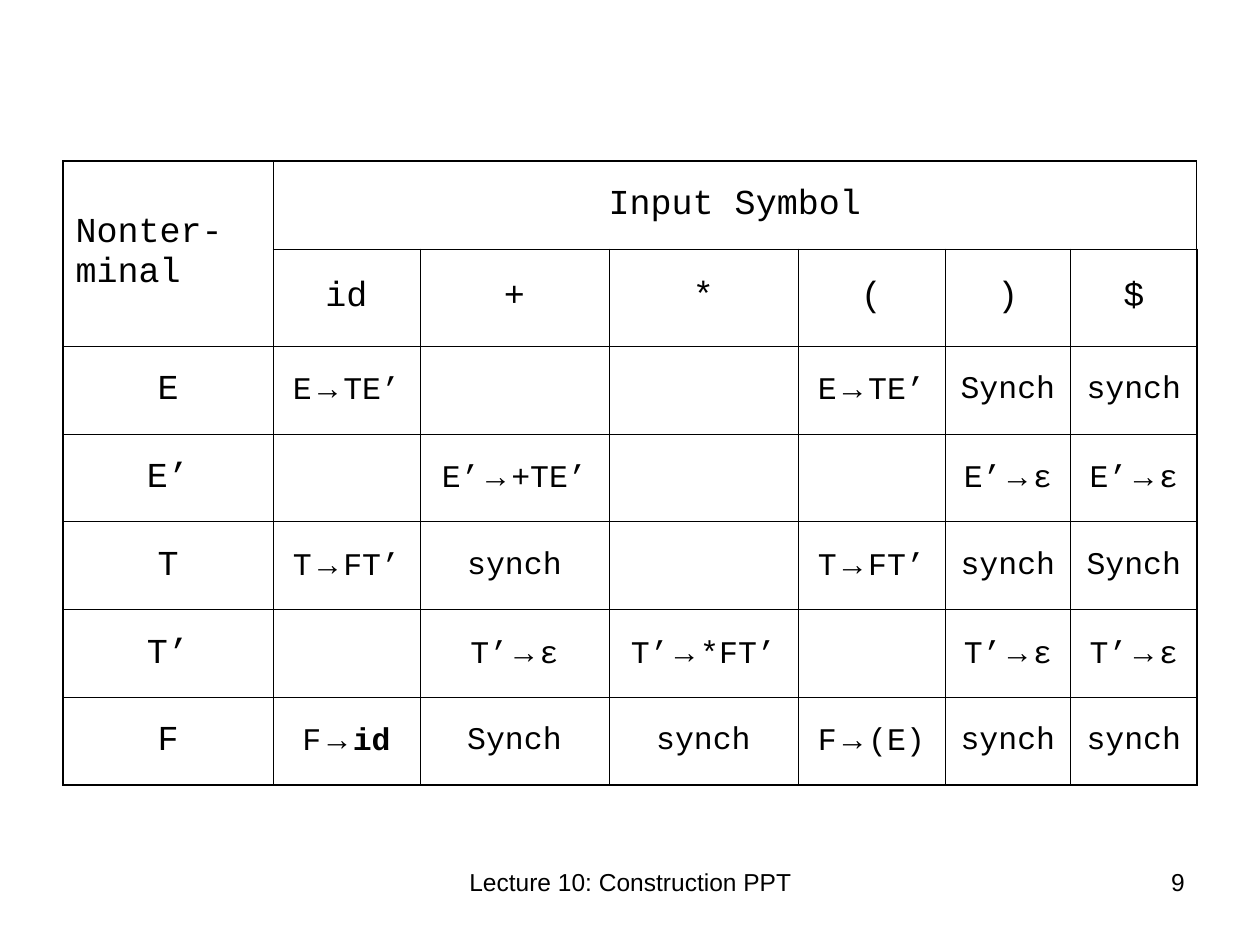
from lxml import etree
from pptx import Presentation
from pptx.dml.color import RGBColor
from pptx.enum.text import MSO_ANCHOR, PP_ALIGN
from pptx.oxml.ns import qn
from pptx.util import Pt

PX = 914400 // 126
BLACK = RGBColor(0, 0, 0)
MONO, SANS = "Courier New", "Arial"
LEFT, MID, RIGHT = PP_ALIGN.LEFT, PP_ALIGN.CENTER, PP_ALIGN.RIGHT
CENTER = MSO_ANCHOR.MIDDLE
THIN, THICK = 0.45, 1.08


def add_run(para, text, size, face, bold=False):
    run = para.add_run()
    run.text = text
    run.font.size = Pt(size)
    run.font.name = face
    run.font.bold = bold
    run.font.color.rgb = BLACK


def add_edge(cell, side, width):
    props = cell._tc.get_or_add_tcPr()
    line = etree.SubElement(props, qn("a:ln" + side), w=str(Pt(width)))
    fill = etree.SubElement(line, qn("a:solidFill"))
    etree.SubElement(fill, qn("a:srgbClr"), val=str(BLACK))


prs = Presentation()
prs.slide_width, prs.slide_height = 1260 * PX, 945 * PX
slide = prs.slides.add_slide(prs.slide_layouts[6])

# Parsing table: header rows, then one row for each nonterminal
cols = [210, 147, 189, 189, 147, 126, 126]
rows = [88, 97, 88, 88, 88, 88, 87]
grid = [
    ["Nonter-minal", "Input Symbol", "", "", "", "", ""],
    ["", "id", "+", "*", "(", ")", "$"],
    ["E", "E→TE’", "", "", "E→TE’", "Synch", "synch"],
    ["E’", "", "E’→+TE’", "", "", "E’→ε", "E’→ε"],
    ["T", "T→FT’", "synch", "", "T→FT’", "synch", "Synch"],
    ["T’", "", "T’→ε", "T’→*FT’", "", "T’→ε", "T’→ε"],
    ["F", "F→id", "Synch", "synch", "F→(E)", "synch", "synch"],
]
frame = slide.shapes.add_table(len(rows), len(cols), 63 * PX, 161 * PX,
                               sum(cols) * PX, sum(rows) * PX)
table = frame.table
table.first_row = table.horz_banding = False
for col, width in zip(table.columns, cols):
    col.width = width * PX
for row, height in zip(table.rows, rows):
    row.height = height * PX
table.cell(0, 0).merge(table.cell(1, 0))
table.cell(0, 1).merge(table.cell(0, 6))

# Cell borders and text
for r, line in enumerate(grid):
    for c, text in enumerate(line):
        cell = table.cell(r, c)
        cell.vertical_anchor = CENTER
        outer = {"L": c == 0, "R": c == len(cols) - 1,
                 "T": r == 0, "B": r == len(rows) - 1}
        for side, edge in outer.items():
            add_edge(cell, side, THICK if edge else THIN)
        cell.fill.background()
        para = cell.text_frame.paragraphs[0]
        para.alignment = LEFT if r == c == 0 else MID
        size = 20 if r < 2 or c == 0 else 18
        head, arrow, body = text.partition("→")
        if head:
            add_run(para, head, size, MONO)
        if arrow:
            add_run(para, arrow, size, SANS)
            add_run(para, body, size, MONO, body == "id")

# Footer and slide number
for x, width, text, align in [
    (431, 399, "Lecture 10: Construction PPT", MID),
    (903, 294, "9", RIGHT),
]:
    box = slide.shapes.add_textbox(x * PX, 861 * PX, width * PX, 66 * PX)
    box.text_frame.word_wrap = True
    para = box.text_frame.paragraphs[0]
    para.alignment = align
    add_run(para, text, 14, SANS)

prs.save("out.pptx")
